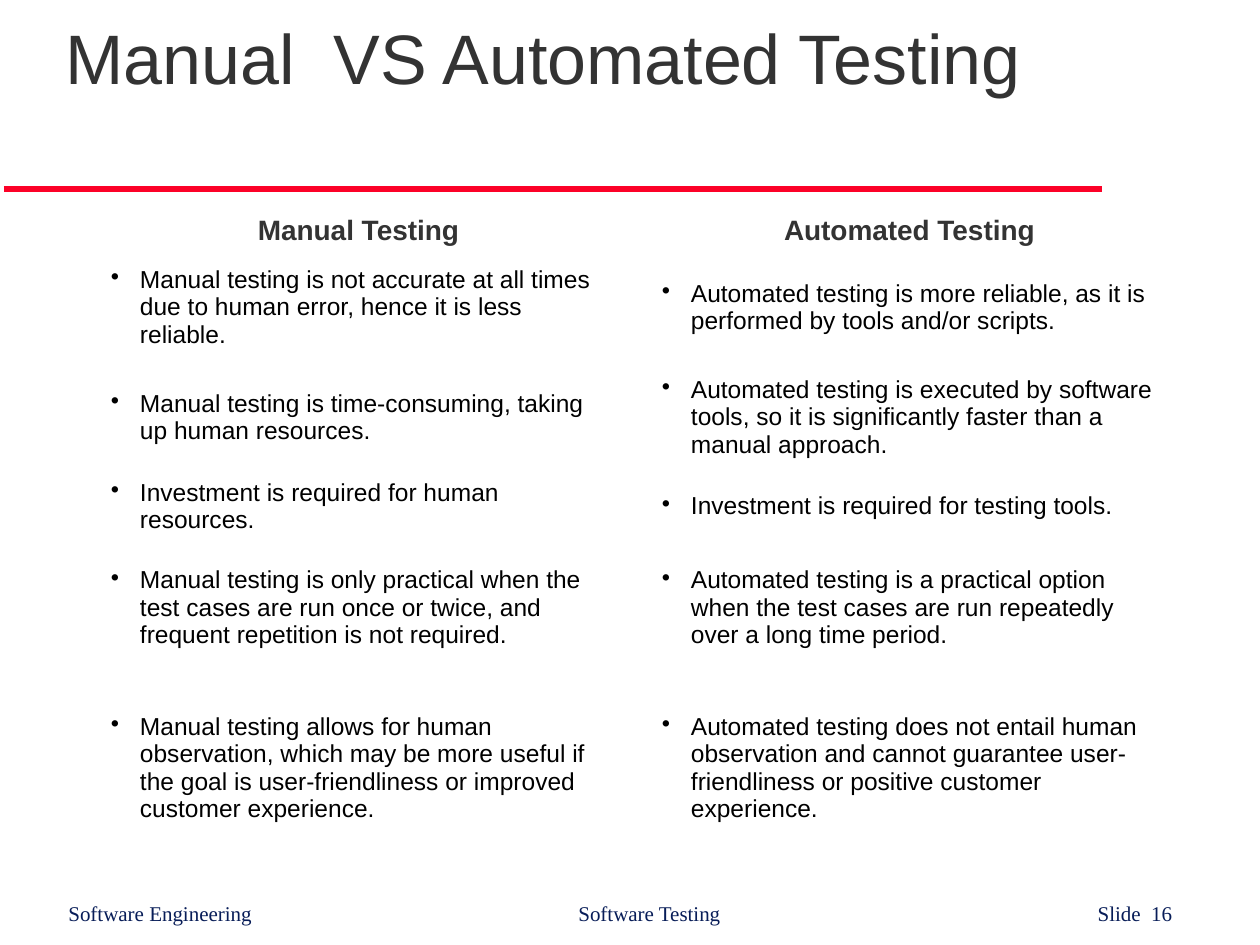
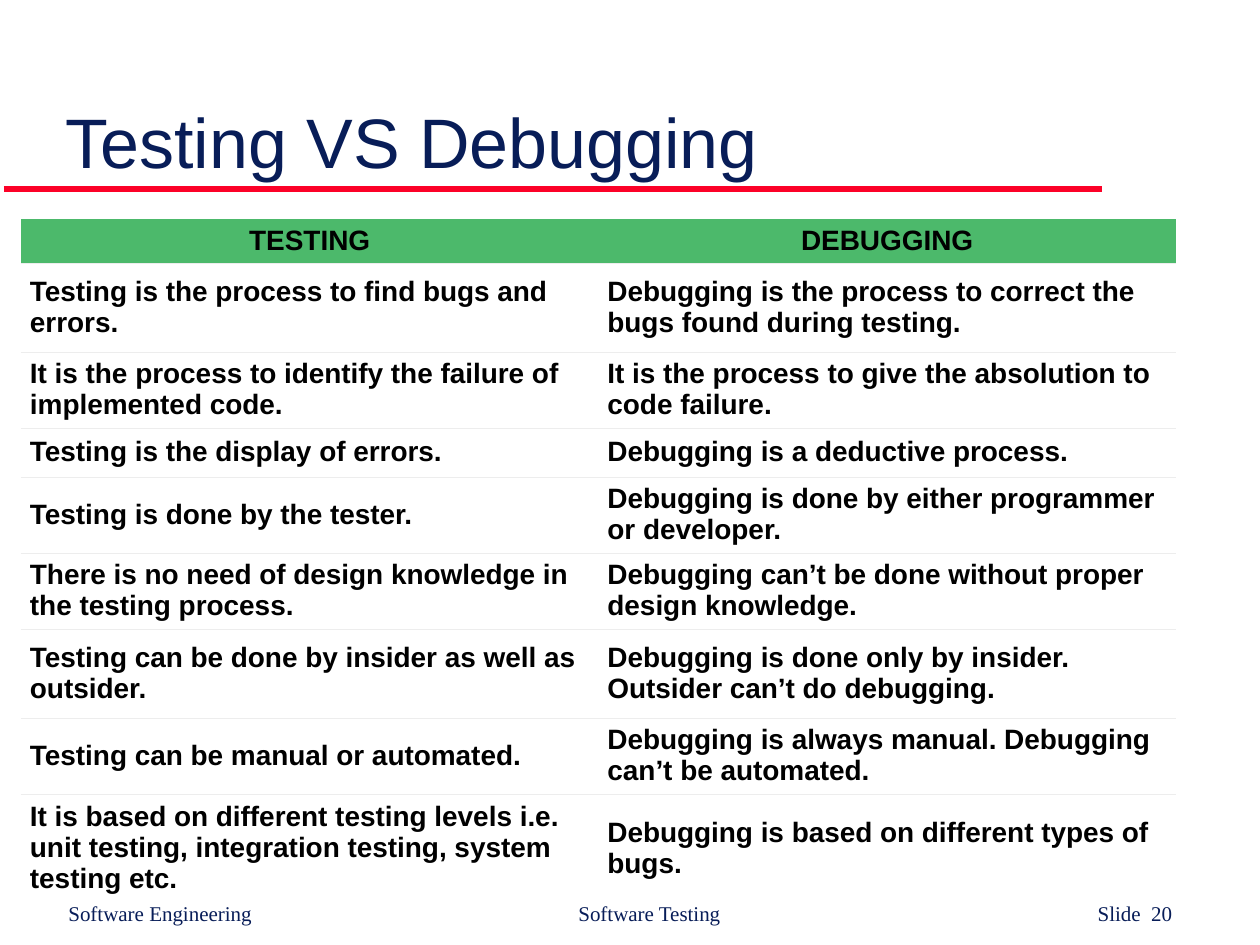
from lxml import etree
from pptx import Presentation
from pptx.dml.color import RGBColor
from pptx.enum.shapes import MSO_CONNECTOR
from pptx.enum.text import MSO_ANCHOR, MSO_AUTO_SIZE, PP_ALIGN
from pptx.oxml.ns import qn
from pptx.util import Pt

LEFT, CENTER = PP_ALIGN.LEFT, PP_ALIGN.CENTER
MIDDLE, BOTTOM = MSO_ANCHOR.MIDDLE, MSO_ANCHOR.BOTTOM
STRAIGHT, NO_AUTOFIT = MSO_CONNECTOR.STRAIGHT, MSO_AUTO_SIZE.NONE
NO_STYLE = "{2D5ABB26-0587-4C30-8999-92F81FD0307C}"
TITLE_ONLY = 5
COLORS = {
    "navy": "081D58", "gray": "333333", "black": "000000", "white": "FFFFFF",
    "red": "FC0128", "green": "4CB96B", "grid": "EDEDED",
}


def px(length):
    return round(length * 914400 / 126)


def style(paragraph, font_name, size, color, bold=False, alignment=LEFT):
    paragraph.alignment = alignment
    font = paragraph.font
    font.name, font.size, font.bold = font_name, Pt(size), bold
    font.color.rgb = RGBColor.from_string(COLORS[color])
    # The paragraph mark sets the bullet size and the last line's height
    etree.SubElement(paragraph._p, qn("a:endParaRPr"), sz=str(size * 100))


# Content of the two comparisons
manual_rows = [
    ("Manual Testing", "Automated Testing"),
    ("Manual testing is not accurate at all times due to human error, hence it is less reliable.",
     "Automated testing is more reliable, as it is performed by tools and/or scripts."),
    ("Manual testing is time-consuming, taking up human resources.",
     "Automated testing is executed by software tools, so it is significantly faster than a manual approach."),
    ("Investment is required for human resources.",
     "Investment is required for testing tools."),
    ("Manual testing is only practical when the test cases are run once or twice, and frequent repetition is not required.",
     "Automated testing is a practical option when the test cases are run repeatedly over a long time period."),
    ("Manual testing allows for human observation, which may be more useful if the goal is user-friendliness or improved customer experience.",
     "Automated testing does not entail human observation and cannot guarantee user-friendliness or positive customer experience."),
]
debugging_rows = [
    ("TESTING", "DEBUGGING"),
    ("Testing is the process to find bugs and errors.",
     "Debugging is the process to correct the bugs found during testing."),
    ("It is the process to identify the failure of implemented code.",
     "It is the process to give the absolution to code failure."),
    ("Testing is the display of errors.", "Debugging is a deductive process."),
    ("Testing is done by the tester.",
     "Debugging is done by either programmer or developer."),
    ("There is no need of design knowledge in the testing process.",
     "Debugging can’t be done without proper design knowledge."),
    ("Testing can be done by insider as well as outsider.",
     "Debugging is done only by insider. Outsider can’t do debugging."),
    ("Testing can be manual or automated.",
     "Debugging is always manual. Debugging can’t be automated."),
    ("It is based on different testing levels i.e. unit testing, integration testing, system testing etc.",
     "Debugging is based on different types of bugs."),
]
comparisons = [
    {"title": "Manual  VS Automated Testing", "title_color": "gray", "title_bottom": 90,
     "number": 16, "rows": manual_rows, "heights": [43, 110, 110, 68, 135, 185],
     "left": 63, "top": 210, "width": 1102, "margins": (48, 8), "header_margins": (48, 8),
     "header_fill": "white", "header_color": "gray",
     "size": 14, "bold": False, "bullets": True, "grid": False},
    {"title": "Testing VS Debugging", "title_color": "navy", "title_bottom": 6,
     "number": 20, "rows": debugging_rows, "heights": [44, 89, 76, 49, 76, 76, 89, 76, 109],
     "left": 21, "top": 219, "width": 1155, "margins": (9, 9), "header_margins": (5, 5),
     "header_fill": "green", "header_color": "black",
     "size": 16, "bold": True, "bullets": False, "grid": True},
]

presentation = Presentation()
presentation.slide_width, presentation.slide_height = px(1260), px(945)

for comparison in comparisons:
    slide = presentation.slides.add_slide(presentation.slide_layouts[TITLE_ONLY])

    # Red rule under the title
    rule = slide.shapes.add_connector(STRAIGHT, px(4), px(189), px(1102), px(189))
    rule.line.color.rgb = RGBColor.from_string(COLORS["red"])
    rule.line.width = Pt(4)
    etree.SubElement(rule._element.spPr, qn("a:effectLst"))

    # Title
    title = slide.shapes.title
    title.left, title.top, title.width, title.height = px(53), px(53), px(1134), px(136)
    frame = title.text_frame
    frame.text = comparison["title"]
    frame.auto_size, frame.vertical_anchor = NO_AUTOFIT, BOTTOM
    frame.margin_bottom = px(comparison["title_bottom"])
    style(frame.paragraphs[0], "Arial", 40, comparison["title_color"])

    # Comparison table
    rows, heights = comparison["rows"], comparison["heights"]
    table = slide.shapes.add_table(
        len(rows), 2, px(comparison["left"]), px(comparison["top"]),
        px(comparison["width"]), px(sum(heights))).table
    table.first_row = table.horz_banding = False
    table._tbl.tblPr.find(qn("a:tableStyleId")).text = NO_STYLE

    for row_index, (texts, height) in enumerate(zip(rows, heights)):
        table.rows[row_index].height = px(height)
        is_header = row_index == 0
        margins = comparison["header_margins" if is_header else "margins"]
        for column_index, text in enumerate(texts):
            cell = table.cell(row_index, column_index)
            cell.text = text
            cell.vertical_anchor = MIDDLE
            cell.margin_left, cell.margin_right = map(px, margins)
            cell.margin_top, cell.margin_bottom = px(3), px(4)
            cell.fill.solid()
            fill = comparison["header_fill"] if is_header else "white"
            cell.fill.fore_color.rgb = RGBColor.from_string(COLORS[fill])
            paragraph = cell.text_frame.paragraphs[0]
            if is_header:
                style(paragraph, "Arial", 16, comparison["header_color"], True, CENTER)
            else:
                style(paragraph, "Arial", comparison["size"], "black", comparison["bold"])

            # Hanging bullet
            if comparison["bullets"] and not is_header:
                properties = paragraph._p.get_or_add_pPr()
                properties.set("marL", str(px(29)))
                properties.set("indent", str(-px(29)))
                bullet = etree.Element(qn("a:buChar"), char="•")
                properties.insert(0, bullet)

            # Thin line between rows
            if comparison["grid"] and row_index < len(rows) - 1:
                border = etree.Element(qn("a:lnB"), w=str(Pt(0.34)))
                border_fill = etree.SubElement(border, qn("a:solidFill"))
                etree.SubElement(border_fill, qn("a:srgbClr"), val=COLORS["grid"])
                cell._tc.get_or_add_tcPr().insert(0, border)

    # Footer in front of the table: left text and two tab stops
    footer = slide.shapes.add_textbox(px(56), px(894), px(1135), px(38))
    footer.text_frame.word_wrap = True
    paragraph = footer.text_frame.paragraphs[0]
    paragraph.text = f"Software Engineering\tSoftware Testing\tSlide  {comparison['number']}"
    style(paragraph, "Times New Roman", 12, "navy")
    # Tab stops come before the default run properties
    tab_list = etree.Element(qn("a:tabLst"))
    for position, side in ((510, "l"), (1104, "r")):
        etree.SubElement(tab_list, qn("a:tab"), pos=str(px(position)), algn=side)
    paragraph._p.get_or_add_pPr().insert(0, tab_list)

presentation.save("out.pptx")
